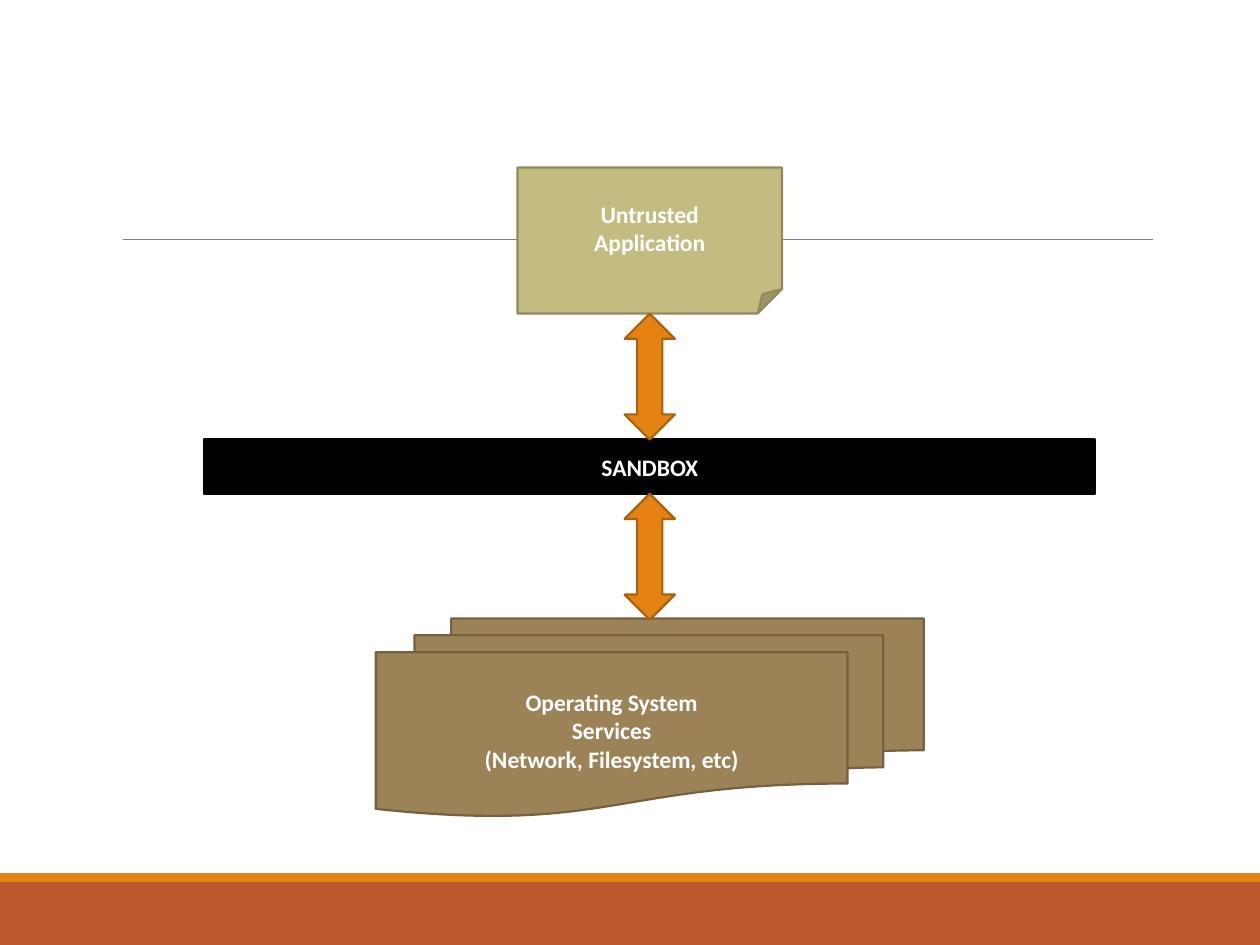
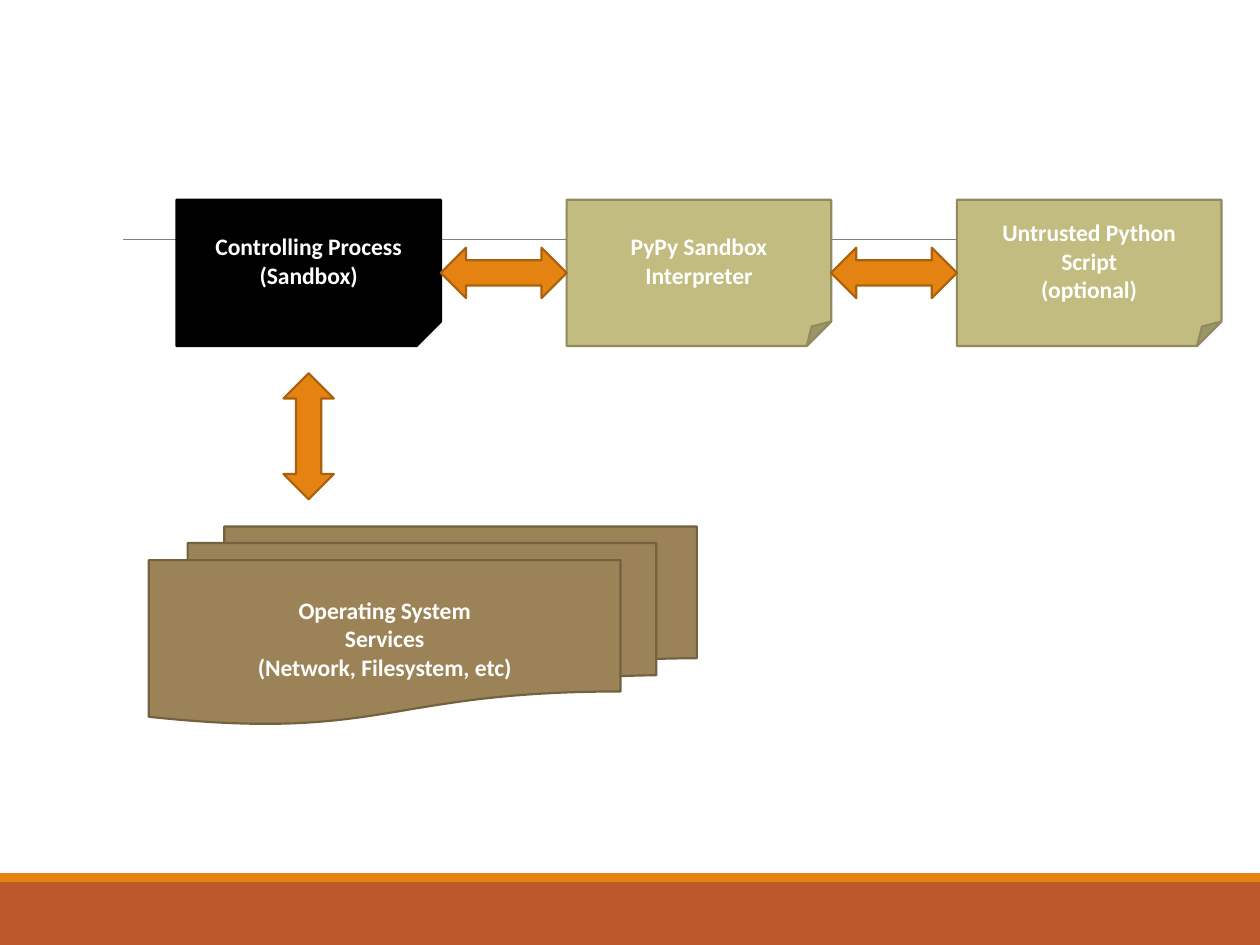
from dataclasses import dataclass

from lxml.etree import SubElement
from pptx import Presentation
from pptx.dml.color import RGBColor
from pptx.enum.shapes import MSO_CONNECTOR, MSO_SHAPE
from pptx.enum.text import MSO_ANCHOR, PP_ALIGN
from pptx.oxml.ns import qn
from pptx.util import Pt


@dataclass(frozen=True)
class Theme:
    # Each pair is fill and outline
    untrusted: tuple = ("C2BC80", "908B5F")
    services: tuple = ("9B8357", "736140")
    sandbox: tuple = ("000000", "000000")
    arrow: tuple = ("E48312", "A9610D")
    footer: tuple = ("BD582C", None)
    stripe: tuple = ("E48312", None)
    rule: str = "808080"
    text: str = "FFFFFF"
    font: str = "Calibri"
    size: float = 13.5
    outline: float = 1.25
    hairline: float = 0.5


THEME = Theme()
SLIDE_W, SLIDE_H = 720, 540
NOTE_W, NOTE_H = 151.2, 83.5
STACK_W, STACK_H = 313.2, 113
ARROW_LEN, ARROW_THICK = 72, 28.8
SERVICES = ("Operating System", "Services", "(Network, Filesystem, etc)")


def add_block(slide, kind, box, colors, lines=()):
    """Draw a preset shape with one centred paragraph per line."""
    fill, outline = colors
    sp = slide.shapes.add_shape(kind, *(Pt(v) for v in box))
    sp.shadow.inherit = False
    sp.fill.solid()
    sp.fill.fore_color.rgb = RGBColor.from_string(fill)
    if outline:
        sp.line.color.rgb = RGBColor.from_string(outline)
        sp.line.width = Pt(THEME.outline)
    else:
        sp.line.fill.background()

    tf = sp.text_frame
    tf.word_wrap = True
    tf.vertical_anchor = MSO_ANCHOR.MIDDLE
    for i, line in enumerate(lines):
        p = tf.add_paragraph() if i else tf.paragraphs[0]
        p.alignment = PP_ALIGN.CENTER
        r = p.add_run()
        r.text = line
        r.font.name = THEME.font
        r.font.size = Pt(THEME.size)
        r.font.bold = True
        r.font.color.rgb = RGBColor.from_string(THEME.text)


def add_note(slide, left, top, colors, lines):
    add_block(slide, MSO_SHAPE.FOLDED_CORNER, (left, top, NOTE_W, NOTE_H), colors, lines)


def add_services(slide, left, top):
    add_block(slide, MSO_SHAPE.FLOWCHART_MULTIDOCUMENT,
              (left, top, STACK_W, STACK_H), THEME.services, SERVICES)


def add_vertical_arrow(slide, center_x, top):
    box = (center_x - ARROW_THICK / 2, top, ARROW_THICK, ARROW_LEN)
    add_block(slide, MSO_SHAPE.UP_DOWN_ARROW, box, THEME.arrow)


def add_horizontal_arrow(slide, left, center_y):
    box = (left, center_y - ARROW_THICK / 2, ARROW_LEN, ARROW_THICK)
    add_block(slide, MSO_SHAPE.LEFT_RIGHT_ARROW, box, THEME.arrow)


def add_base_slide(prs):
    """Blank slide with the footer bands and title rule."""
    slide = prs.slides.add_slide(prs.slide_layouts[6])
    footer_top, stripe_h = 504, 5.04
    add_block(slide, MSO_SHAPE.RECTANGLE,
              (0, footer_top, SLIDE_W, SLIDE_H - footer_top), THEME.footer)
    add_block(slide, MSO_SHAPE.RECTANGLE,
              (0, footer_top - stripe_h, SLIDE_W, stripe_h), THEME.stripe)
    rule = slide.shapes.add_connector(
        MSO_CONNECTOR.STRAIGHT, Pt(70.5), Pt(136.8), Pt(658.8), Pt(136.8))
    rule.line.color.rgb = RGBColor.from_string(THEME.rule)
    rule.line.width = Pt(THEME.hairline)
    SubElement(rule._element.spPr, qn("a:effectLst"))
    return slide


def draw_sandbox_layers(slide, box):
    """Application, sandbox bar and services stacked on one axis."""
    left, top, width = box
    bar_h = 31
    center = left + width / 2
    bar_top = top + NOTE_H + ARROW_LEN
    bar_bottom = bar_top + bar_h

    add_note(slide, center - NOTE_W / 2, top, THEME.untrusted, ("Untrusted", "Application"))
    add_services(slide, center - STACK_W / 2, bar_bottom + ARROW_LEN - 0.7)
    add_block(slide, MSO_SHAPE.RECTANGLE, (left, bar_top, width, bar_h),
              THEME.sandbox, ("SANDBOX",))
    for arrow_top in (top + NOTE_H, bar_bottom):
        add_vertical_arrow(slide, center, arrow_top)


def draw_process_chain(slide, box):
    """Processes in a row, with services below the controlling one."""
    left, top, width = box
    step = (width - NOTE_W) / 2
    center = left + NOTE_W / 2
    notes = (
        (THEME.sandbox, ("Controlling Process (Sandbox)",)),
        (THEME.untrusted, ("PyPy Sandbox Interpreter",)),
        (THEME.untrusted, ("Untrusted Python", "Script", "(optional)")),
    )
    for i, (colors, lines) in enumerate(notes):
        add_note(slide, left + i * step, top, colors, lines)
    add_services(slide, center - STACK_W / 2 + 65.2, top + 186.7)

    # Arrows fill the gaps between neighbours
    add_vertical_arrow(slide, center, top + NOTE_H + 15.6)
    for i in range(len(notes) - 1):
        gap_center = left + i * step + (NOTE_W + step) / 2
        add_horizontal_arrow(slide, gap_center - ARROW_LEN / 2, top + NOTE_H / 2)


def main():
    prs = Presentation()
    prs.slide_width, prs.slide_height = Pt(SLIDE_W), Pt(SLIDE_H)
    draw_sandbox_layers(add_base_slide(prs), (116.7, 95.7, 509.2))
    draw_process_chain(add_base_slide(prs), (100.8, 114.2, 597.2))
    prs.save("out.pptx")


if __name__ == "__main__":
    main()
